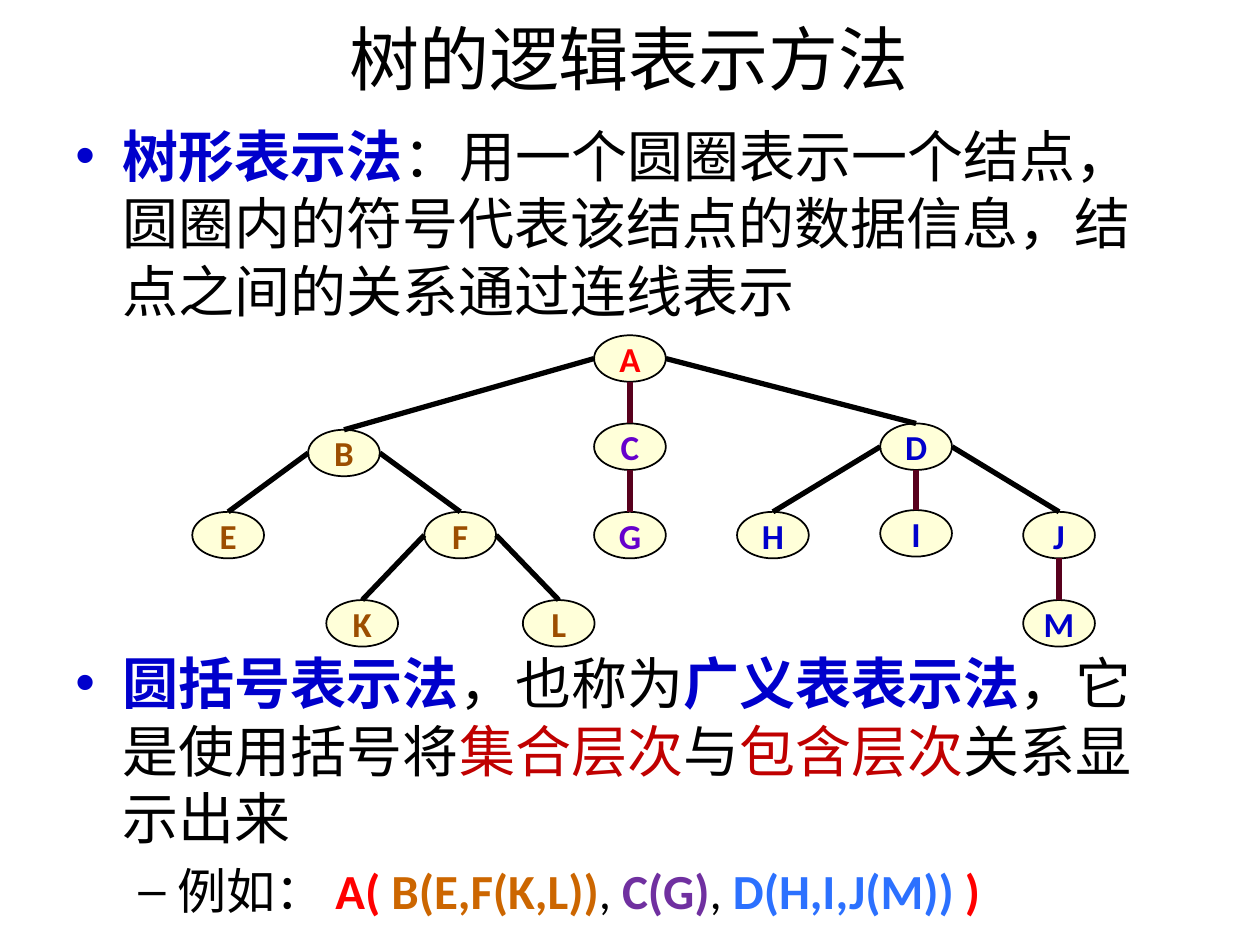
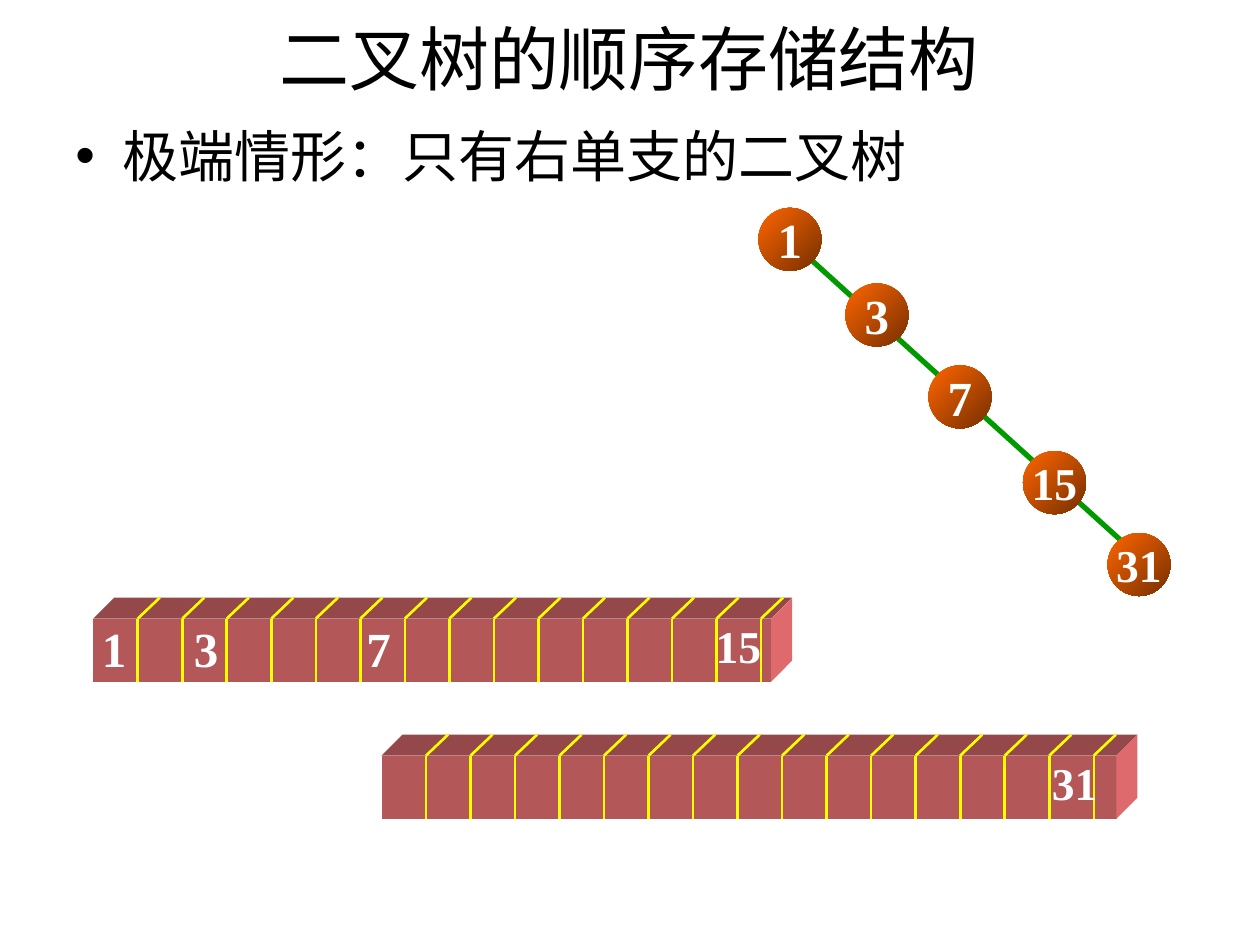
from lxml import etree
from pptx import Presentation
from pptx.dml.color import RGBColor
from pptx.enum.shapes import MSO_CONNECTOR, MSO_SHAPE
from pptx.enum.text import MSO_ANCHOR, PP_ALIGN
from pptx.oxml.ns import qn
from pptx.util import Pt

BLACK = RGBColor(0x00, 0x00, 0x00)
WHITE = RGBColor(0xFF, 0xFF, 0xFF)
BLUE = RGBColor(0x00, 0x00, 0xCC)
DARK_RED = RGBColor(0xC0, 0x00, 0x00)
RED = RGBColor(0xFF, 0x00, 0x00)
ORANGE = RGBColor(0xCC, 0x66, 0x00)
PURPLE = RGBColor(0x70, 0x30, 0xA0)
SKY = RGBColor(0x2C, 0x71, 0xFF)
BROWN = RGBColor(0x9C, 0x4E, 0x00)
VIOLET = RGBColor(0x66, 0x00, 0xCC)
CREAM = RGBColor(0xFF, 0xFF, 0xD9)
MAROON = RGBColor(0x58, 0x00, 0x1D)
GREEN = RGBColor(0x00, 0x99, 0x00)
YELLOW = RGBColor(0xFF, 0xFF, 0x00)
BALL_LIGHT = RGBColor(0xFF, 0x66, 0x00)
BALL_DARK = RGBColor(0x76, 0x2F, 0x00)
BAR_FRONT = RGBColor(0xB3, 0x57, 0x59)
BAR_TOP = RGBColor(0x94, 0x48, 0x4A)
BAR_SIDE = RGBColor(0xDF, 0x6A, 0x6E)
HEADING_FONT, NUMBER_FONT = "Calibri", "Times New Roman"


def write(paragraph, text, size, color, bold=False, font=HEADING_FONT):
    run = paragraph.add_run()
    run.text = text
    run.font.size = Pt(size)
    run.font.name = font
    run.font.bold = bold
    run.font.color.rgb = color


def draw_line(slide, x1, y1, x2, y2, color, width):
    line = slide.shapes.add_connector(
        MSO_CONNECTOR.STRAIGHT, Pt(x1), Pt(y1), Pt(x2), Pt(y2))
    line.line.color.rgb = color
    line.line.width = Pt(width)
    etree.SubElement(line._element.spPr, qn("a:effectLst"))


PAGES = [
    ("树的逻辑表示方法", [
        (0, 6.4, [
            ("树形表示法", BLUE, True),
            ("：用一个圆圈表示一个结点，圆圈内的符号代表该结点的数据信息，"
             "结点之间的关系通过连线表示", BLACK, False)]),
        (1, 186, [
            ("圆括号表示法", BLUE, True), ("，也称为", BLACK, False),
            ("广义表表示法", BLUE, True), ("，它是使用括号将", BLACK, False),
            ("集合层次", DARK_RED, False), ("与", BLACK, False),
            ("包含层次", DARK_RED, False), ("关系显示出来", BLACK, False)]),
        (2, 5.6, [
            ("例如： ", BLACK, False), ("A( ", RED, True),
            ("B(E,F(K,L))", ORANGE, True), (", ", BLACK, False),
            ("C(G)", PURPLE, True), (", ", BLACK, False),
            ("D(H,I,J(M)) ", SKY, True), (")", RED, True)])]),
    ("二叉树的顺序存储结构", [
        (0, 6.4, [("极端情形：只有右单支的二叉树", BLACK, False)])]),
]

prs = Presentation()
prs.slide_width, prs.slide_height = Pt(720), Pt(540)

for title, points in PAGES:
    slide = prs.slides.add_slide(prs.slide_layouts[6])
    heading = slide.shapes.add_textbox(Pt(35.4), Pt(0), Pt(648), Pt(66)).text_frame
    heading.word_wrap = True
    heading.vertical_anchor = MSO_ANCHOR.MIDDLE
    heading.paragraphs[0].alignment = PP_ALIGN.CENTER
    write(heading.paragraphs[0], title, 40, BLACK)

    body = slide.shapes.add_textbox(Pt(36), Pt(66), Pt(648), Pt(474)).text_frame
    body.word_wrap = True
    for order, (kind, gap, pieces) in enumerate(points):
        point = body.paragraphs[0] if order == 0 else body.add_paragraph()
        point.space_before = Pt(gap)
        is_example = kind == 2
        margin, hang, mark = (58.5, 22.5, "–") if is_example else (27, 27, "•")
        props = point._p.get_or_add_pPr()
        props.set("marL", str(Pt(margin)))
        props.set("indent", str(-Pt(hang)))
        etree.SubElement(props, qn("a:buFont")).set("typeface", "Arial")
        etree.SubElement(props, qn("a:buChar")).set("char", mark)
        for text, color, bold in pieces:
            write(point, text, 28 if is_example else 32, color, bold)

tree_slide, storage_slide = prs.slides

NODE_W, NODE_H = 41, 26.6
NODES = {
    "A": (360, 204.9, RED), "B": (196.6, 258.9, BROWN),
    "C": (360, 255.3, VIOLET), "D": (523.5, 255.3, BLUE),
    "E": (130.4, 305.8, BROWN), "F": (263, 305.8, BROWN),
    "G": (360, 305.8, VIOLET), "H": (441.7, 305.8, BLUE),
    "I": (523.5, 304.8, BLUE), "J": (605.2, 305.8, BLUE),
    "K": (207, 356.2, BROWN), "L": (319.3, 356.2, BROWN),
    "M": (605.2, 356.2, BLUE),
}
CHILDREN = {"A": "BCD", "B": "EF", "C": "G", "D": "HIJ", "F": "KL", "J": "M"}

for letter, (x, y, color) in NODES.items():
    node = tree_slide.shapes.add_shape(
        MSO_SHAPE.OVAL, Pt(x - NODE_W / 2), Pt(y - NODE_H / 2), Pt(NODE_W), Pt(NODE_H))
    node.shadow.inherit = False
    node.fill.solid()
    node.fill.fore_color.rgb = CREAM
    node.line.color.rgb = BLACK
    node.line.width = Pt(1)
    node.text_frame.word_wrap = False
    node.text_frame.vertical_anchor = MSO_ANCHOR.MIDDLE
    node.text_frame.paragraphs[0].alignment = PP_ALIGN.CENTER
    write(node.text_frame.paragraphs[0], letter, 20, color, True)

for parent, children in CHILDREN.items():
    px, py, _ = NODES[parent]
    for child in children:
        cx, cy, _ = NODES[child]
        child_top = cy - NODE_H / 2
        if cx == px:
            draw_line(tree_slide, px, py + NODE_H / 2, cx, child_top, MAROON, 3)
        else:
            side = NODE_W / 2 if cx > px else -NODE_W / 2
            draw_line(tree_slide, px + side, py, cx, child_top, BLACK, 3)

BALL = 36
BRANCH = [("1", 433.4, 118.8, 28), ("3", 483.1, 162, 28), ("7", 530.6, 208.8, 28),
          ("15", 584.6, 257.8, 26), ("31", 632.9, 304.6, 26)]
draw_line(storage_slide, 458.6, 144, 650.9, 318.2, GREEN, 3)
for number, left, top, size in BRANCH:
    ball = storage_slide.shapes.add_shape(
        MSO_SHAPE.OVAL, Pt(left), Pt(top), Pt(BALL), Pt(BALL))
    ball.shadow.inherit = False
    ball.fill.gradient()
    ball.fill.gradient_angle = 315
    for stop, color in zip(ball.fill.gradient_stops, (BALL_LIGHT, BALL_DARK)):
        stop.color.rgb = color
    ball.line.fill.background()
    label = ball.text_frame
    label.margin_left = label.margin_right = label.margin_top = label.margin_bottom = 0
    label.word_wrap = False
    label.vertical_anchor = MSO_ANCHOR.MIDDLE
    label.paragraphs[0].alignment = PP_ALIGN.CENTER
    write(label.paragraphs[0], number, size, WHITE, True, NUMBER_FONT)

CELL, BAR_H, DEPTH = 25.44, 36, 12
BARS = [
    (53.3, 353.5, 387.4, 15, [("1", 51.1, 28), ("3", 103.7, 28),
                              ("7", 202.3, 28), ("15", 401.8, 26)]),
    (218, 431.8, 420, 16, [("31", 594, 26)]),
]
for left, top, width, dividers, entries in BARS:
    right, bottom = left + width, top + BAR_H
    back_right, back_top = right + DEPTH, top - DEPTH
    faces = [
        (BAR_FRONT, [(left, top), (right, top), (right, bottom), (left, bottom)]),
        (BAR_TOP, [(left, top), (left + DEPTH, back_top), (back_right, back_top),
                   (right, top)]),
        (BAR_SIDE, [(right, top), (back_right, back_top),
                    (back_right, bottom - DEPTH), (right, bottom)]),
    ]
    for color, corners in faces:
        outline = [(Pt(x), Pt(y)) for x, y in corners]
        builder = storage_slide.shapes.build_freeform(*outline[0])
        builder.add_line_segments(outline[1:], close=True)
        face = builder.convert_to_shape()
        face.shadow.inherit = False
        face.fill.solid()
        face.fill.fore_color.rgb = color
        face.line.fill.background()

    for index in range(1, dividers + 1):
        x = left + index * CELL
        draw_line(storage_slide, x, top, x, bottom, YELLOW, 1.5)
        draw_line(storage_slide, x, top, x + DEPTH + 0.6, back_top, YELLOW, 1.5)

    for number, x, size in entries:
        entry = storage_slide.shapes.add_textbox(
            Pt(x), Pt(top - 3.8), Pt(15.2 + size * len(number) / 2),
            Pt(41 if size == 28 else 38.2)).text_frame
        entry.word_wrap = False
        entry.vertical_anchor = MSO_ANCHOR.MIDDLE
        write(entry.paragraphs[0], number, size, WHITE, True, NUMBER_FONT)

prs.save("out.pptx")
